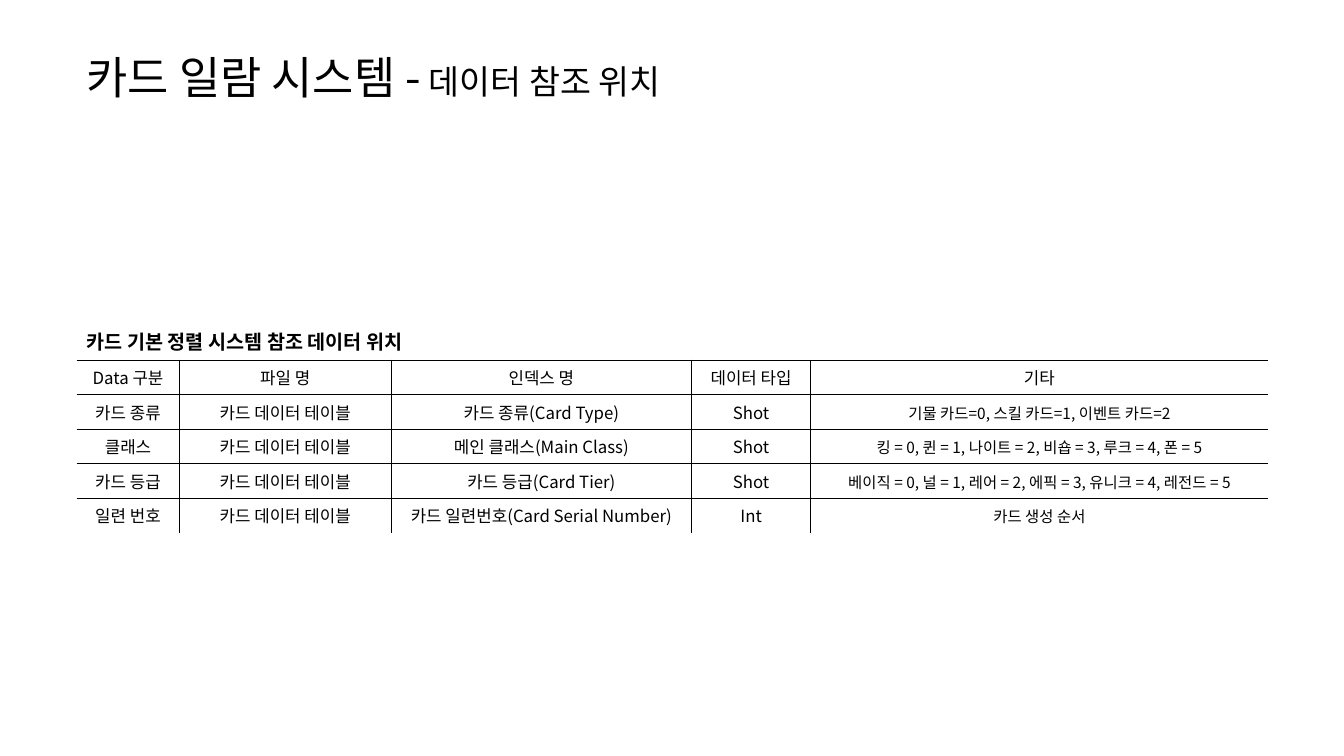
from typing import NamedTuple

from lxml.etree import SubElement
from pptx import Presentation
from pptx.dml.color import RGBColor
from pptx.enum.text import MSO_ANCHOR as Anchor, PP_ALIGN as Align
from pptx.oxml.ns import qn
from pptx.util import Inches, Pt

FACE = "Noto Sans CJK KR"
INK = "000000"
LEFT, WIDTH = 0.76, 11.81
COLS = (1.02, 2.1, 2.98, 1.18, 4.54)
HEAD = ("Data 구분", "파일 명", "인덱스 명", "데이터 타입", "기타")
FILE = "카드 데이터 테이블"


class Entry(NamedTuple):
    kind: str
    index: str
    type: str
    note: str


ENTRIES = (
    Entry("카드 종류", "카드 종류(Card Type)", "Shot",
          "기물 카드=0, 스킬 카드=1, 이벤트 카드=2"),
    Entry("클래스", "메인 클래스(Main Class)", "Shot",
          "킹 = 0, 퀸 = 1, 나이트 = 2, 비숍 = 3, 루크 = 4, 폰 = 5"),
    Entry("카드 등급", "카드 등급(Card Tier)", "Shot",
          "베이직 = 0, 널 = 1, 레어 = 2, 에픽 = 3, 유니크 = 4, 레전드 = 5"),
    Entry("일련 번호", "카드 일련번호(Card Serial Number)", "Int",
          "카드 생성 순서"),
)


def color(code: str) -> RGBColor:
    return RGBColor.from_string(code)


def style(font, props, size: float, bold: bool = False) -> None:
    """Set the same face for Latin and Korean letters."""
    font.size, font.bold, font.name = Pt(size), bold, FACE
    font.color.rgb = color(INK)
    latin = props.find(qn("a:latin"))
    korean = latin.makeelement(qn("a:ea"), {"typeface": FACE})
    latin.addnext(korean)


def write(cell, text: str, size: float, bold: bool = False) -> None:
    para = cell.text_frame.paragraphs[0]
    para.text = text
    style(para.font, para._p.pPr.find(qn("a:defRPr")), size, bold)


def rule(cell, sides: str) -> None:
    """Draw the named sides (L, R, T, B) and clear the others."""
    props = cell._tc.get_or_add_tcPr()
    for side in "LRTB":
        line = SubElement(props, qn(f"a:ln{side}"), w=str(Pt(1)))
        if side in sides:
            fill = SubElement(line, qn("a:solidFill"))
            SubElement(fill, qn("a:srgbClr"), val=INK)
        else:
            SubElement(line, qn("a:noFill"))
    cell.fill.background()


def add_title(slide) -> None:
    title = slide.shapes.title
    title.left, title.top = Inches(LEFT), Inches(0.4)
    title.width, title.height = Inches(WIDTH), Inches(0.71)
    frame = title.text_frame
    frame.vertical_anchor = Anchor.MIDDLE
    para = frame.paragraphs[0]
    para.alignment = Align.LEFT
    for text, size in (("카드 일람 시스템 -", 32), (" 데이터 참조 위치", 24)):
        run = para.add_run()
        run.text = text
        style(run.font, run._r.rPr, size)


def add_grid(slide) -> None:
    rows = [HEAD] + [(e.kind, FILE, e.index, e.type, e.note) for e in ENTRIES]
    last = len(COLS) - 1
    table = slide.shapes.add_table(
        len(rows) + 1, len(COLS), Inches(LEFT), Inches(3.19),
        Inches(WIDTH), Inches(2.08)).table
    table.first_row = table.horz_banding = False
    for col, width in zip(table.columns, COLS):
        col.width = Inches(width)
    for i, row in enumerate(table.rows):
        row.height = Inches(0.34 if i else 0.38)

    # Caption row
    for cell in table.rows[0].cells:
        rule(cell, "B")
    cap = table.cell(0, 0)
    cap.merge(table.cell(0, last))
    write(cap, "카드 기본 정렬 시스템 참조 데이터 위치", 14, True)

    # Header and data rows
    for r, texts in enumerate(rows, 1):
        for c, text in enumerate(texts):
            cell = table.cell(r, c)
            sides = "T" + "L" * (c > 0) + "R" * (c < last)
            rule(cell, sides + "B" * (r < len(rows)))
            cell.vertical_anchor = Anchor.MIDDLE
            note = c == last and r > 1
            if note:
                cell.margin_left = cell.margin_right = Inches(0.01)
                cell.margin_top, cell.margin_bottom = Inches(0.01), 0
            cell.text_frame.paragraphs[0].alignment = Align.CENTER
            write(cell, text, 11 if note else 12)


def main() -> None:
    deck = Presentation()
    deck.slide_width, deck.slide_height = Inches(13.33), Inches(7.5)
    slide = deck.slides.add_slide(deck.slide_layouts[5])
    add_title(slide)
    add_grid(slide)
    deck.save("out.pptx")


if __name__ == "__main__":
    main()
